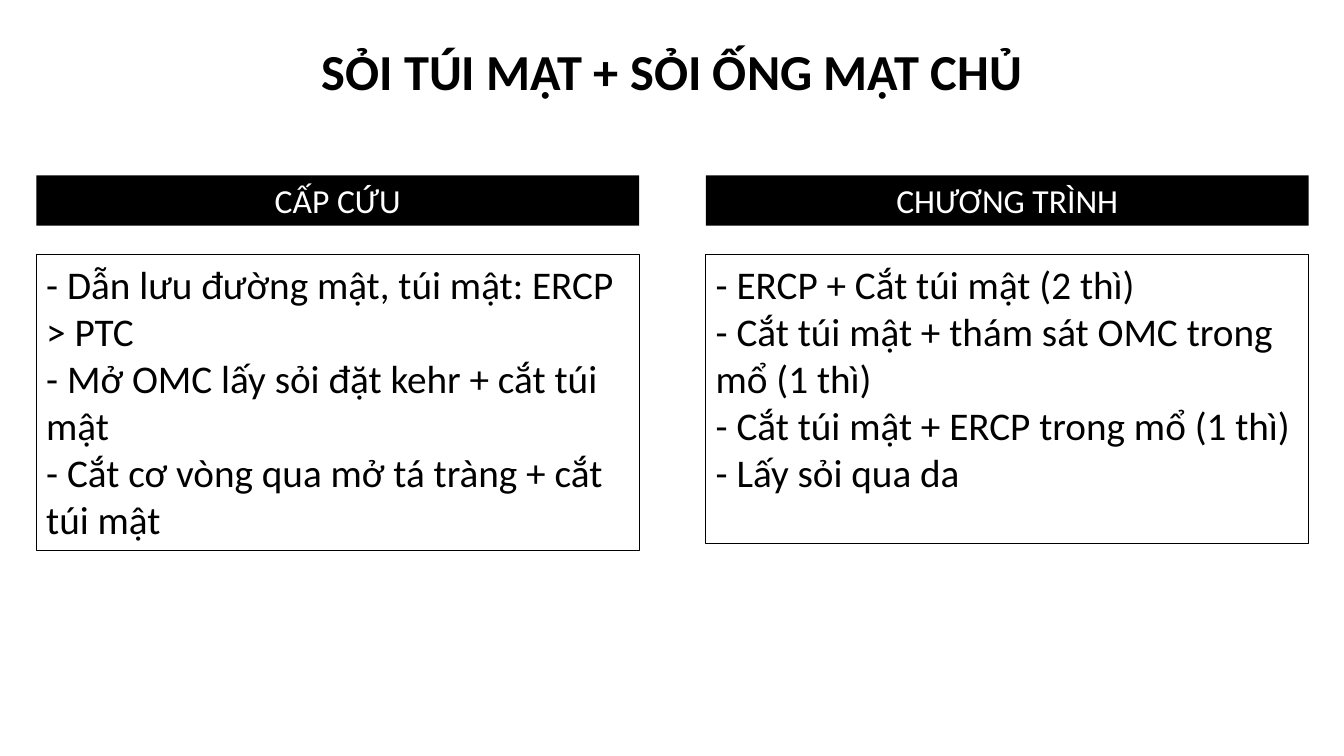
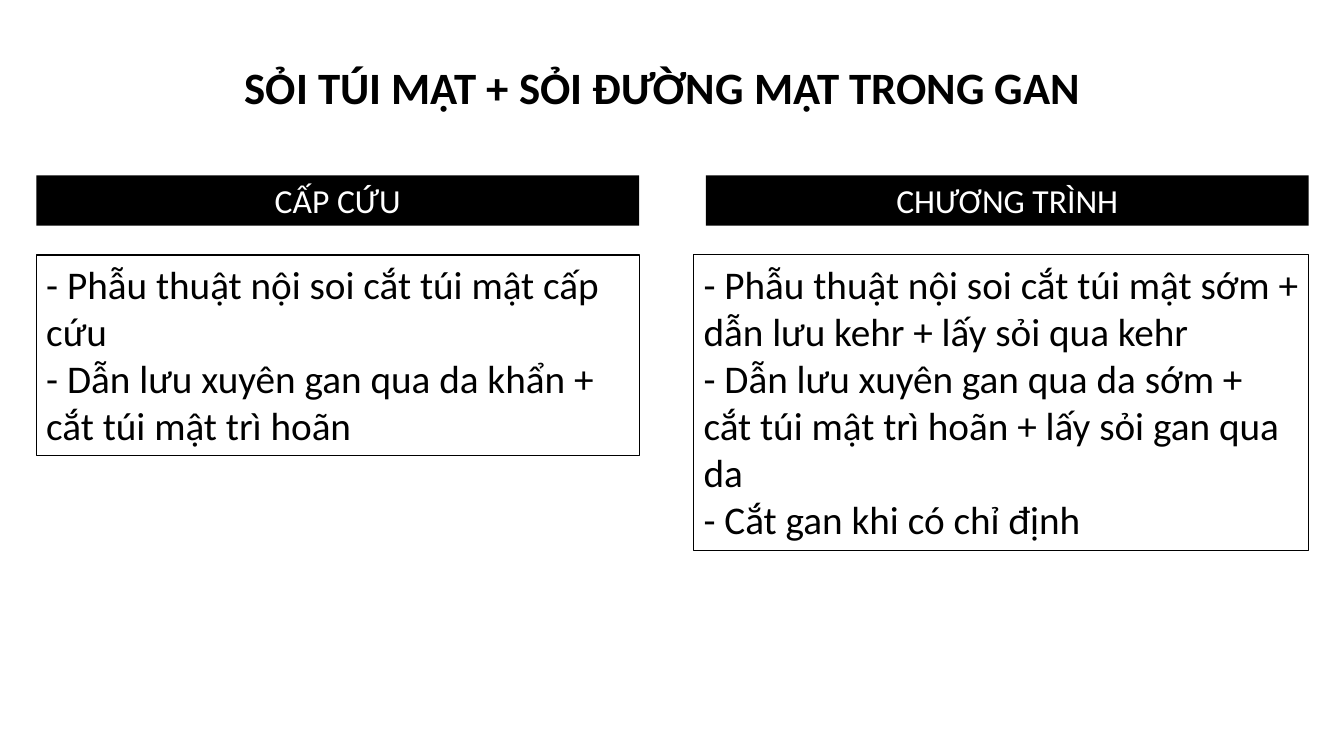
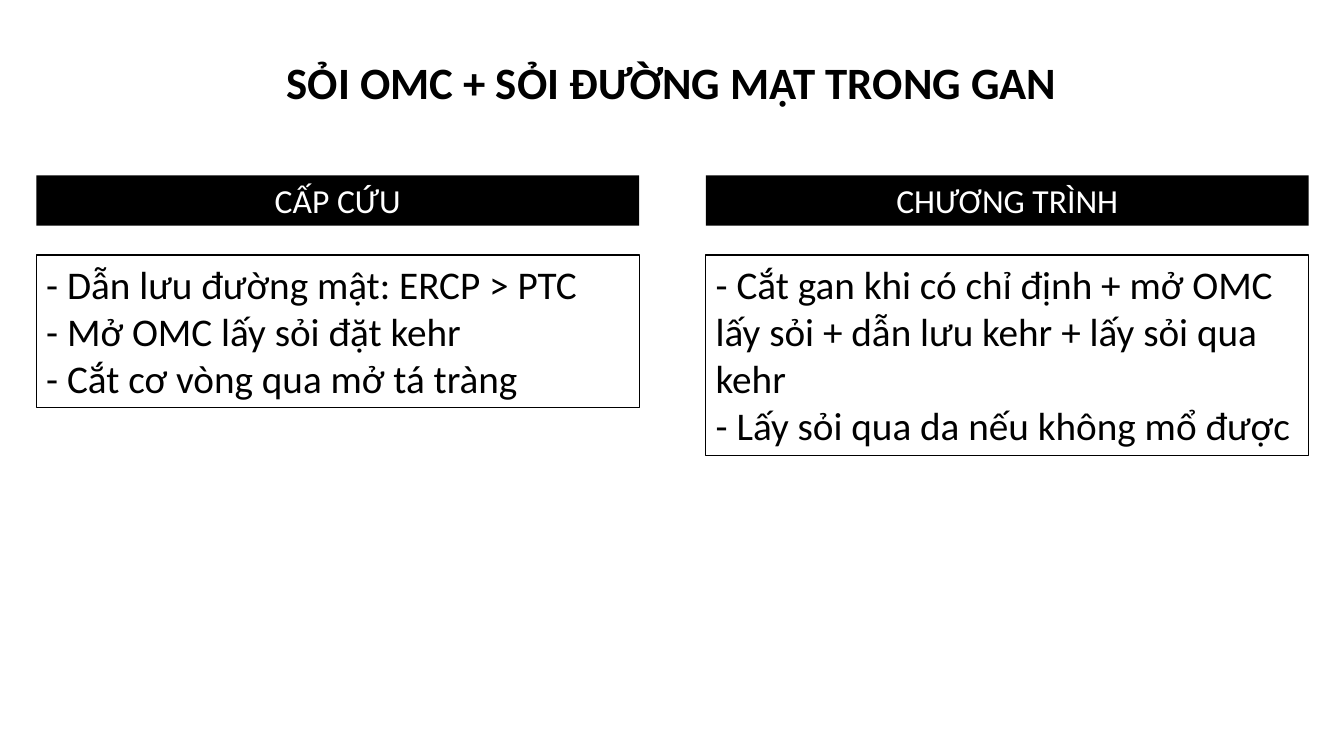
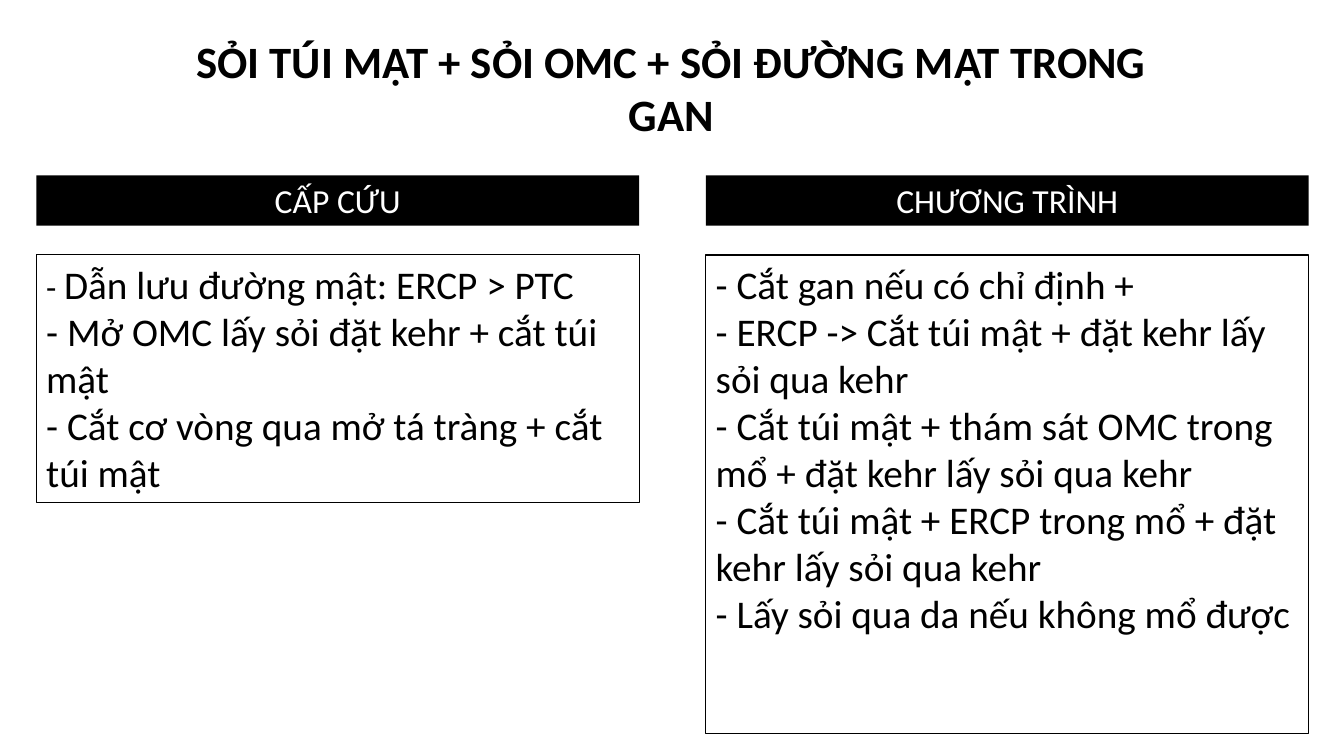
from dataclasses import dataclass

from pptx import Presentation
from pptx import util as u
from pptx.dml.color import RGBColor
from pptx.enum import shapes, text

PX = 9144  # EMU per px, 100 px to the inch
TITLE_ONLY = 5


@dataclass(frozen=True)
class Theme:
    font: str = "Calibri"
    ink: RGBColor = RGBColor(0, 0, 0)
    paper: RGBColor = RGBColor(255, 255, 255)
    title_large: int = 36
    title: int = 32
    header: int = 24
    body: int = 28
    small_dash: int = 24
    outline: float = 0.75


THEME = Theme()

COLUMN_LEFTS = (36, 700)
COLUMN_WIDTH = 598
HEADER_TOP, HEADER_HEIGHT = 174, 50
BODY_TOP = 253
HEADERS = ("CẤP CỨU", "CHƯƠNG TRÌNH")


@dataclass(frozen=True)
class Body:
    height: int
    lines: tuple
    outdent: int = 0  # how far the box reaches left of its column
    first_dash: int = THEME.body


@dataclass(frozen=True)
class Page:
    title: str
    title_box: tuple  # left, top, width, height
    bodies: tuple
    title_size: int = THEME.title


PAGES = (
    Page("SỎI TÚI MẬT + SỎI ỐNG MẬT CHỦ", (163, 35, 1007, 71), (
        Body(293, ("- Dẫn lưu đường mật, túi mật: ERCP > PTC",
                   "- Mở OMC lấy sỏi đặt kehr + cắt túi mật",
                   "- Cắt cơ vòng qua mở tá tràng + cắt túi mật")),
        Body(286, ("- ERCP + Cắt túi mật (2 thì)",
                   "- Cắt túi mật + thám sát OMC trong mổ (1 thì)",
                   "- Cắt túi mật + ERCP trong mổ (1 thì)",
                   "- Lấy sỏi qua da")),
    ), THEME.title_large),
    Page("SỎI TÚI MẬT + SỎI ĐƯỜNG MẬT TRONG GAN", (89, 54, 1137, 64), (
        Body(199, ("- Phẫu thuật nội soi cắt túi mật cấp cứu",
                   "- Dẫn lưu xuyên gan qua da khẩn + cắt túi mật trì hoãn")),
        Body(293, ("- Phẫu thuật nội soi cắt túi mật sớm + dẫn lưu kehr + lấy sỏi qua kehr",
                   "- Dẫn lưu xuyên gan qua da sớm + cắt túi mật trì hoãn + lấy sỏi gan qua da",
                   "- Cắt gan khi có chỉ định"), outdent=12),
    )),
    Page("SỎI OMC + SỎI ĐƯỜNG MẬT TRONG GAN", (79, 49, 1175, 64), (
        Body(151, ("- Dẫn lưu đường mật: ERCP > PTC",
                   "- Mở OMC lấy sỏi đặt kehr",
                   "- Cắt cơ vòng qua mở tá tràng")),
        Body(199, ("- Cắt gan khi có chỉ định + mở OMC lấy sỏi + dẫn lưu kehr + lấy sỏi qua kehr",
                   "- Lấy sỏi qua da nếu không mổ được")),
    )),
    Page("SỎI TÚI MẬT + SỎI OMC + SỎI ĐƯỜNG MẬT TRONG GAN", (143, 28, 1046, 118), (
        Body(246, ("- Dẫn lưu đường mật: ERCP > PTC",
                   "- Mở OMC lấy sỏi đặt kehr + cắt túi mật",
                   "- Cắt cơ vòng qua mở tá tràng + cắt túi mật"),
             first_dash=THEME.small_dash),
        Body(475, ("- Cắt gan nếu có chỉ định +",
                   "- ERCP -> Cắt túi mật + đặt kehr lấy sỏi qua kehr",
                   "- Cắt túi mật + thám sát OMC trong mổ + đặt kehr lấy sỏi qua kehr",
                   "- Cắt túi mật + ERCP trong mổ + đặt kehr lấy sỏi qua kehr",
                   "- Lấy sỏi qua da nếu không mổ được")),
    )),
)


def px(*lengths):
    return [u.Emu(length * PX) for length in lengths]


def write(shape, lines, size, color, align, bold=False):
    frame = shape.text_frame
    frame.word_wrap = True
    frame.auto_size = text.MSO_AUTO_SIZE.NONE
    frame.vertical_anchor = text.MSO_ANCHOR.TOP
    frame.text = "\n".join(lines)
    for para in frame.paragraphs:
        para.alignment = align
        para.font.name = THEME.font
        para.font.size = u.Pt(size)
        para.font.bold = bold
        para.font.color.rgb = color


def add_title(slide, page):
    title = slide.shapes.title
    title.left, title.top, title.width, title.height = px(*page.title_box)
    write(title, [page.title], page.title_size, THEME.ink, text.PP_ALIGN.CENTER, bold=True)


def add_box(slide, left, top, width, height, fill):
    box = slide.shapes.add_shape(shapes.MSO_SHAPE.RECTANGLE, *px(left, top, width, height))
    box.shadow.inherit = False
    box.fill.solid()
    box.fill.fore_color.rgb = fill
    box.line.fill.background()
    return box


def add_header(slide, left, label):
    box = add_box(slide, left, HEADER_TOP, COLUMN_WIDTH, HEADER_HEIGHT, THEME.ink)
    write(box, [label], THEME.header, THEME.paper, text.PP_ALIGN.CENTER)


def shrink_dash(para, size):
    """Put the leading dash in a span of its own, at another size."""
    dash, rest = para.runs[0], para.add_run()
    dash.text, rest.text = dash.text[:2], dash.text[2:]
    dash.font.size = u.Pt(size)


def add_body(slide, left, body):
    box = add_box(slide, left - body.outdent, BODY_TOP, COLUMN_WIDTH + body.outdent,
                  body.height, THEME.paper)
    box.line.color.rgb = THEME.ink
    box.line.width = u.Pt(THEME.outline)
    write(box, body.lines, THEME.body, THEME.ink, text.PP_ALIGN.LEFT)
    if body.first_dash != THEME.body:
        shrink_dash(box.text_frame.paragraphs[0], body.first_dash)


def main():
    deck = Presentation()
    deck.slide_width, deck.slide_height = px(1333, 750)
    for page in PAGES:
        slide = deck.slides.add_slide(deck.slide_layouts[TITLE_ONLY])
        add_title(slide, page)
        for left, label in zip(COLUMN_LEFTS, HEADERS):
            add_header(slide, left, label)
        for left, body in zip(COLUMN_LEFTS, page.bodies):
            add_body(slide, left, body)
    deck.save("out.pptx")


if __name__ == "__main__":
    main()
